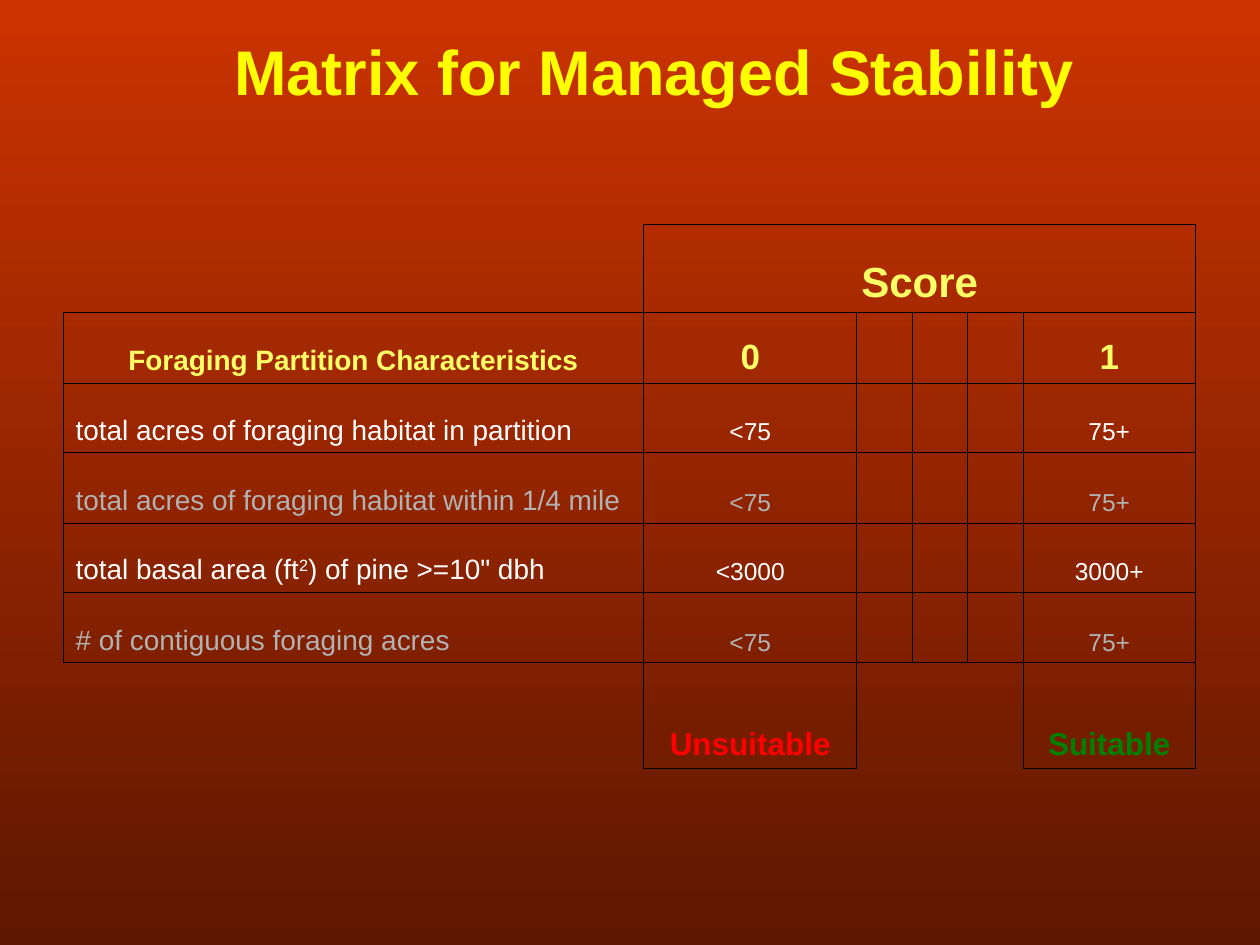
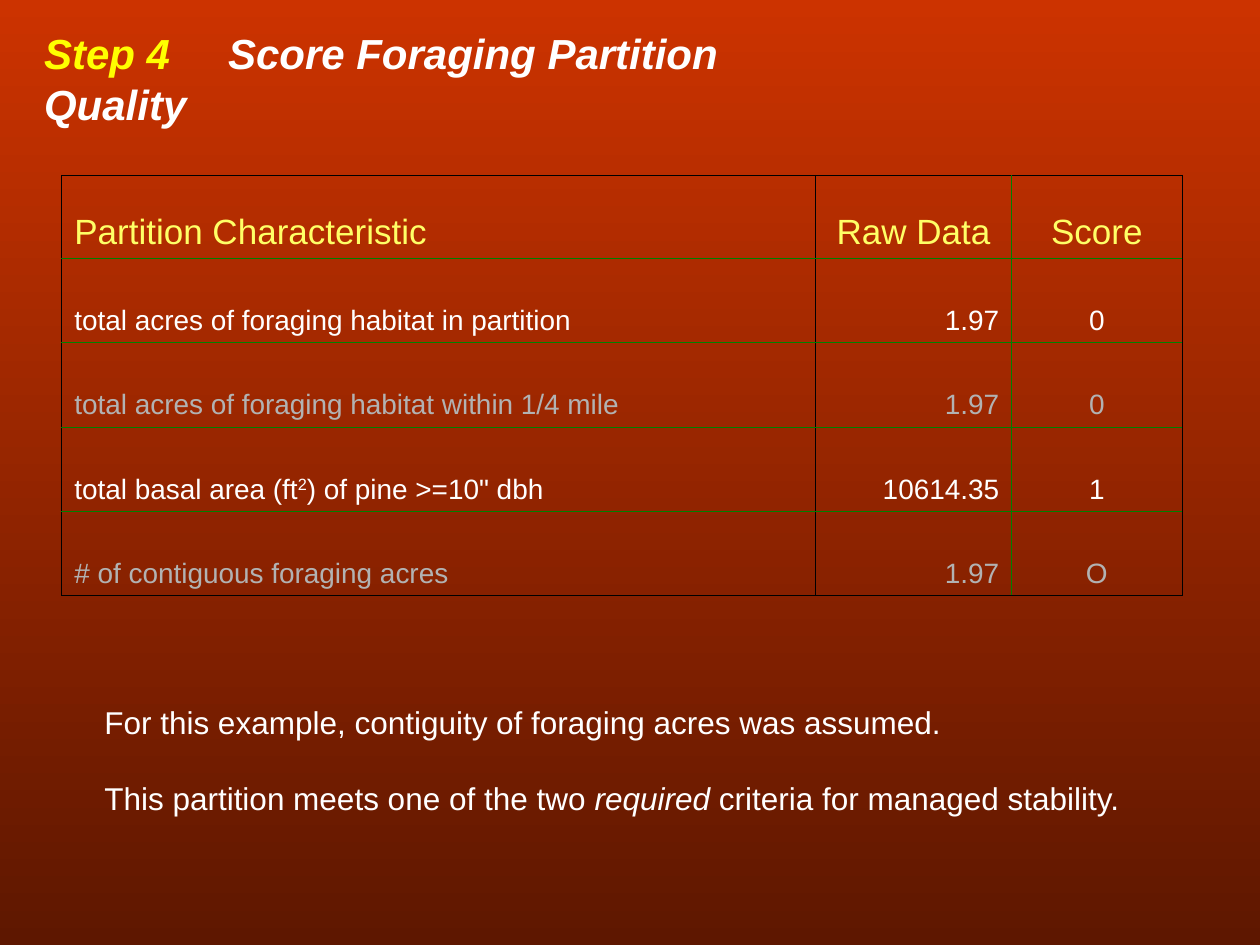
from dataclasses import dataclass
from typing import Any, Callable, NamedTuple, Optional

import pptx
import pptx.dml.color
import pptx.enum.text
import pptx.oxml
import pptx.oxml.ns
import pptx.util
from lxml import etree

RGBColor = pptx.dml.color.RGBColor
ALIGN = pptx.enum.text.PP_ALIGN
ANCHOR = pptx.enum.text.MSO_ANCHOR

SLIDE_TOP = RGBColor(0xCC, 0x33, 0x00)
SLIDE_BOTTOM = RGBColor(0x5E, 0x17, 0x00)
YELLOW = RGBColor(0xFF, 0xFF, 0x00)
PALE_YELLOW = RGBColor(0xFF, 0xFF, 0x66)
WHITE = RGBColor(0xFF, 0xFF, 0xFF)
GREY = RGBColor(0xB2, 0xB2, 0xB2)
RED = RGBColor(0xFF, 0x00, 0x00)
GREEN = RGBColor(0x00, 0x80, 0x00)
BLACK = RGBColor(0x00, 0x00, 0x00)

FONT_NAME = "Arial"
SLIDE_WIDTH = pptx.util.Inches(10)
SLIDE_HEIGHT = pptx.util.Inches(7.5)
GRID_COLUMNS = 100
GRID_ROWS = 75
BORDER_WIDTH = pptx.util.Pt(0.45)
TITLE_ONLY_LAYOUT = 5
SIDES = {"L": (0, -1), "R": (0, 1), "T": (-1, 0), "B": (1, 0)}

EdgeColor = Callable[[int, int, int, int], Optional[RGBColor]]


class Run(NamedTuple):
    text: str
    color: RGBColor
    format: dict[str, Any]
    baseline: int = 0


class Frame(NamedTuple):
    left: float
    top: float
    width: float
    height: float


@dataclass(frozen=True)
class Cell:
    runs: list[Run]
    alignment: ALIGN = ALIGN.CENTER


@dataclass(frozen=True)
class Criterion:
    label: list[tuple[str, int]]
    limit: int
    raw_value: str
    score: str
    color: RGBColor


@dataclass(frozen=True)
class Grid:
    left: float
    top: float
    columns: list[float]
    rows: list[float]
    cells: dict[tuple[int, int], Cell]
    edge_color: EdgeColor


CRITERIA = [
    Criterion([("total acres of foraging habitat in partition", 0)], 75, "1.97", "0", WHITE),
    Criterion([("total acres of foraging habitat within 1/4 mile", 0)], 75, "1.97", "0", GREY),
    Criterion(
        [("total basal area (ft", 0), ("2", 30000), (') of pine >=10" dbh', 0)],
        3000, "10614.35", "1", WHITE,
    ),
    Criterion([("# of contiguous foraging acres", 0)], 75, "1.97", "O", GREY),
]

MATRIX_COLUMNS = [46.1, 16.9, 4.4, 4.4, 4.4, 13.7]
MATRIX_ROWS = [7, 5.6, 5.5, 5.6, 5.5, 5.6, 8.4]
MATRIX_OPEN_CELLS = {(0, 0), (6, 0), (6, 2), (6, 3), (6, 4)}
SCORE_COLUMNS = [59.8, 15.6, 13.5]
SCORE_ROWS = [6.6] + [6.7] * len(CRITERIA)


def across(columns: float) -> int:
    return round(SLIDE_WIDTH * columns / GRID_COLUMNS)


def down(rows: float) -> int:
    return round(SLIDE_HEIGHT * rows / GRID_ROWS)


def set_attributes(target: Any, values: dict[str, Any]) -> None:
    for name, value in values.items():
        setattr(target, name, value)


def styled(text: str, size: float, color: RGBColor, baseline: int = 0, **format: Any) -> Run:
    values = {"name": FONT_NAME, "size": pptx.util.Pt(size), "bold": False, "italic": False}
    return Run(text, color, values | format, baseline)


def text_cell(text: str, size: float, color: RGBColor, alignment: ALIGN = ALIGN.CENTER,
              **format: Any) -> Cell:
    return Cell([styled(text, size, color, **format)], alignment)


def label_cell(criterion: Criterion) -> Cell:
    runs = [styled(text, 16, criterion.color, baseline) for text, baseline in criterion.label]
    return Cell(runs, ALIGN.LEFT)


def write_runs(paragraph: Any, runs: list[Run], alignment: ALIGN) -> None:
    paragraph.alignment = alignment
    for item in runs:
        run = paragraph.add_run()
        run.text = item.text
        set_attributes(run.font, item.format)
        run.font.color.rgb = item.color
        if item.baseline:
            run._r.get_or_add_rPr().set("baseline", str(item.baseline))


def place(shape: Any, frame: Frame) -> None:
    set_attributes(shape, {
        "left": across(frame.left), "top": down(frame.top),
        "width": across(frame.width), "height": down(frame.height),
    })


def add_tab_stop(paragraph: Any, columns: float) -> None:
    properties = paragraph._p.get_or_add_pPr()
    tabs = etree.SubElement(properties, pptx.oxml.ns.qn("a:tabLst"))
    etree.SubElement(tabs, pptx.oxml.ns.qn("a:tab"), pos=str(across(columns)), algn="l")


def add_slide(presentation: Any) -> Any:
    slide = presentation.slides.add_slide(presentation.slide_layouts[TITLE_ONLY_LAYOUT])
    fill = slide.background.fill
    fill.gradient()
    fill.gradient_angle = 270
    for stop, color, position in zip(fill.gradient_stops, (SLIDE_TOP, SLIDE_BOTTOM), (0, 1)):
        stop.color.rgb = color
        stop.position = position
    return slide


def format_title(slide: Any, frame: Frame, runs: list[Run], alignment: ALIGN,
                 tab_stop: Optional[float] = None) -> None:
    title = slide.shapes.title
    place(title, frame)
    set_attributes(title.text_frame, {
        "word_wrap": False,
        "auto_size": pptx.enum.text.MSO_AUTO_SIZE.SHAPE_TO_FIT_TEXT,
        "vertical_anchor": ANCHOR.TOP,
    })
    paragraph = title.text_frame.paragraphs[0]
    if tab_stop is not None:
        add_tab_stop(paragraph, tab_stop)
    write_runs(paragraph, runs, alignment)


def add_border(cell: Any, side: str, color: Optional[RGBColor]) -> None:
    properties = cell._tc.get_or_add_tcPr()
    line = etree.SubElement(properties, pptx.oxml.ns.qn(f"a:ln{side}"), w=str(BORDER_WIDTH))
    if color is None:
        etree.SubElement(line, pptx.oxml.ns.qn("a:noFill"))
        return
    fill = etree.SubElement(line, pptx.oxml.ns.qn("a:solidFill"))
    etree.SubElement(fill, pptx.oxml.ns.qn("a:srgbClr"), val=str(color))


def add_grid(slide: Any, grid: Grid) -> Any:
    table = slide.shapes.add_table(
        len(grid.rows), len(grid.columns), across(grid.left), down(grid.top),
        across(sum(grid.columns)), down(sum(grid.rows)),
    ).table
    set_attributes(table, {"first_row": False, "horz_banding": False})
    for column, width in zip(table.columns, grid.columns):
        column.width = across(width)
    for row, height in zip(table.rows, grid.rows):
        row.height = down(height)
    for row in range(len(grid.rows)):
        for column in range(len(grid.columns)):
            cell = table.cell(row, column)
            for side, (row_step, column_step) in SIDES.items():
                color = grid.edge_color(row, column, row + row_step, column + column_step)
                add_border(cell, side, color)
            cell.fill.background()
            cell.vertical_anchor = ANCHOR.BOTTOM
            content = grid.cells.get((row, column))
            if content:
                write_runs(cell.text_frame.paragraphs[0], content.runs, content.alignment)
    return table


def matrix_edge(row: int, column: int, next_row: int, next_column: int) -> Optional[RGBColor]:
    inside = 0 <= next_row < len(MATRIX_ROWS) and 0 <= next_column < len(MATRIX_COLUMNS)
    next_closed = inside and (next_row, next_column) not in MATRIX_OPEN_CELLS
    closed = (row, column) not in MATRIX_OPEN_CELLS
    return BLACK if closed or next_closed else None


def score_edge(row: int, column: int, next_row: int, next_column: int) -> Optional[RGBColor]:
    inside = 0 <= next_row < len(SCORE_ROWS) and 0 <= next_column < len(SCORE_COLUMNS)
    beside_labels = {column, next_column} == {0, 1}
    return GREEN if inside and not beside_labels else BLACK


def build_matrix_slide(presentation: Any) -> None:
    slide = add_slide(presentation)
    heading = styled("Matrix for Managed Stability", 36, YELLOW, bold=True)
    format_title(slide, Frame(17.6, 2.1, 68.7, 7), [heading], ALIGN.CENTER)
    cells = {
        (0, 1): text_cell("Score", 24, PALE_YELLOW, bold=True),
        (1, 0): text_cell("Foraging Partition Characteristics", 16, PALE_YELLOW, bold=True),
        (1, 1): text_cell("0", 20, PALE_YELLOW, bold=True),
        (1, 5): text_cell("1", 20, PALE_YELLOW, bold=True),
        (6, 1): text_cell("Unsuitable", 18, RED, bold=True),
        (6, 5): text_cell("Suitable", 18, GREEN, bold=True),
    }
    for row, criterion in enumerate(CRITERIA, start=2):
        cells[row, 0] = label_cell(criterion)
        cells[row, 1] = text_cell(f"<{criterion.limit}", 14, criterion.color)
        cells[row, 5] = text_cell(f"{criterion.limit}+", 14, criterion.color)
    table = add_grid(slide, Grid(5, 17.8, MATRIX_COLUMNS, MATRIX_ROWS, cells, matrix_edge))
    table.cell(0, 1).merge(table.cell(0, 5))
    table.cell(6, 2).merge(table.cell(6, 3))


def build_score_slide(presentation: Any) -> None:
    slide = add_slide(presentation)
    heading = [
        styled("Step 4", 24, YELLOW, bold=True, italic=True),
        styled("\tScore Foraging Partition Quality", 24, WHITE, bold=True, italic=True),
    ]
    format_title(slide, Frame(2.5, 1.7, 67.7, 5), heading, ALIGN.LEFT, tab_stop=14.6)
    cells = {
        (0, 0): text_cell("Partition Characteristic", 20, PALE_YELLOW, ALIGN.LEFT),
        (0, 1): text_cell("Raw Data", 20, PALE_YELLOW),
        (0, 2): text_cell("Score", 20, PALE_YELLOW),
    }
    for row, criterion in enumerate(CRITERIA, start=1):
        cells[row, 0] = label_cell(criterion)
        cells[row, 1] = text_cell(criterion.raw_value, 16, criterion.color, ALIGN.RIGHT)
        cells[row, 2] = text_cell(criterion.score, 16, criterion.color)
    add_grid(slide, Grid(4.9, 13.9, SCORE_COLUMNS, SCORE_ROWS, cells, score_edge))

    conclusion = slide.shapes.add_textbox(0, 0, 0, 0)
    place(conclusion, Frame(7.3, 55.3, 85.8, 10))
    conclusion.text_frame.word_wrap = True
    assumption = conclusion.text_frame.paragraphs[0]
    write_runs(assumption, [
        styled("For this example, contiguity of foraging acres was assumed.", 18, WHITE),
    ], ALIGN.LEFT)
    result = conclusion.text_frame.add_paragraph()
    result.space_before = pptx.util.Pt(22)
    write_runs(result, [
        styled("This partition meets one of the two ", 18, WHITE),
        styled("required", 18, WHITE, italic=True),
        styled(" criteria for managed stability.", 18, WHITE),
    ], ALIGN.LEFT)


def main() -> None:
    presentation = pptx.Presentation()
    set_attributes(presentation, {"slide_width": SLIDE_WIDTH, "slide_height": SLIDE_HEIGHT})
    build_matrix_slide(presentation)
    build_score_slide(presentation)
    presentation.save("out.pptx")


if __name__ == "__main__":
    main()
